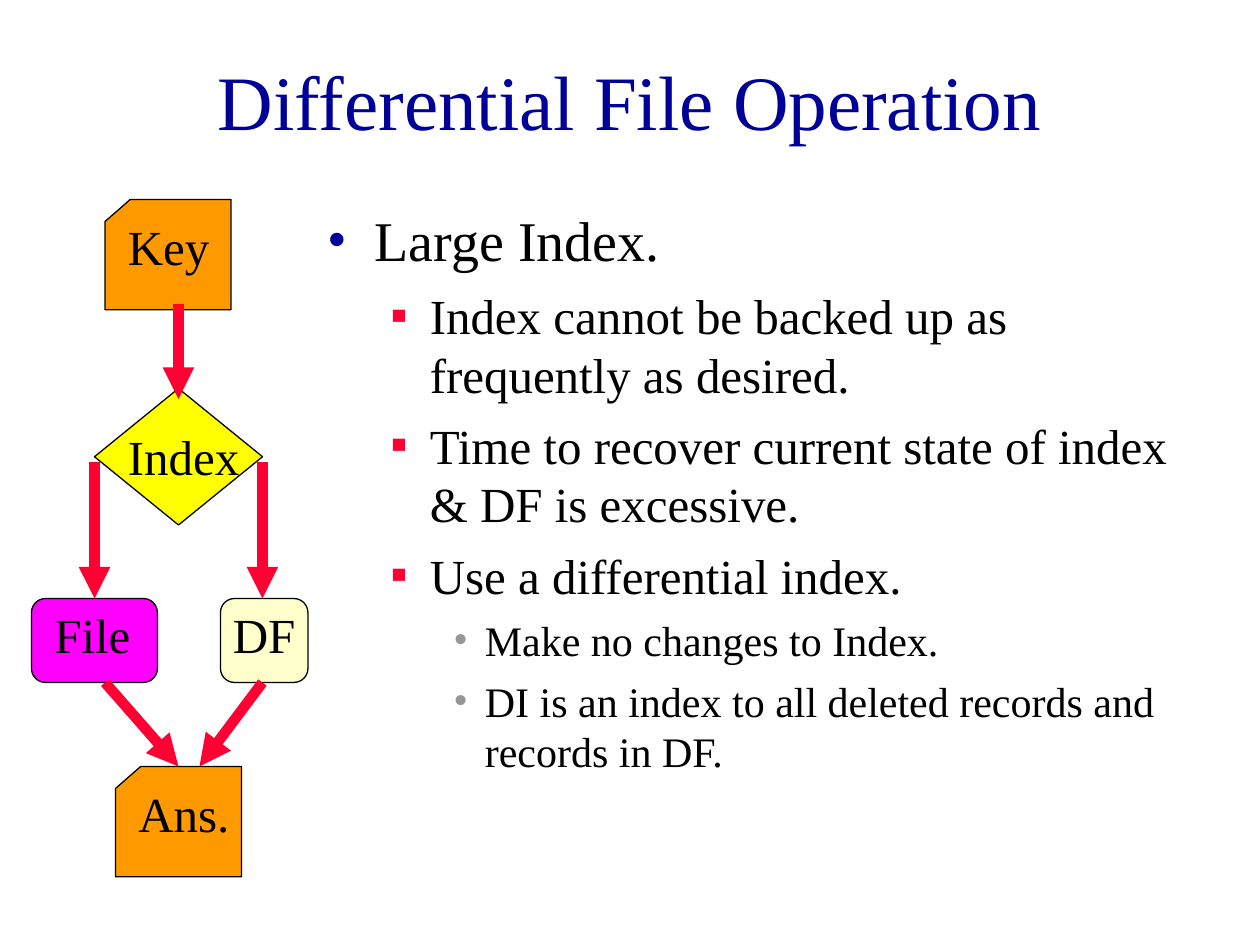
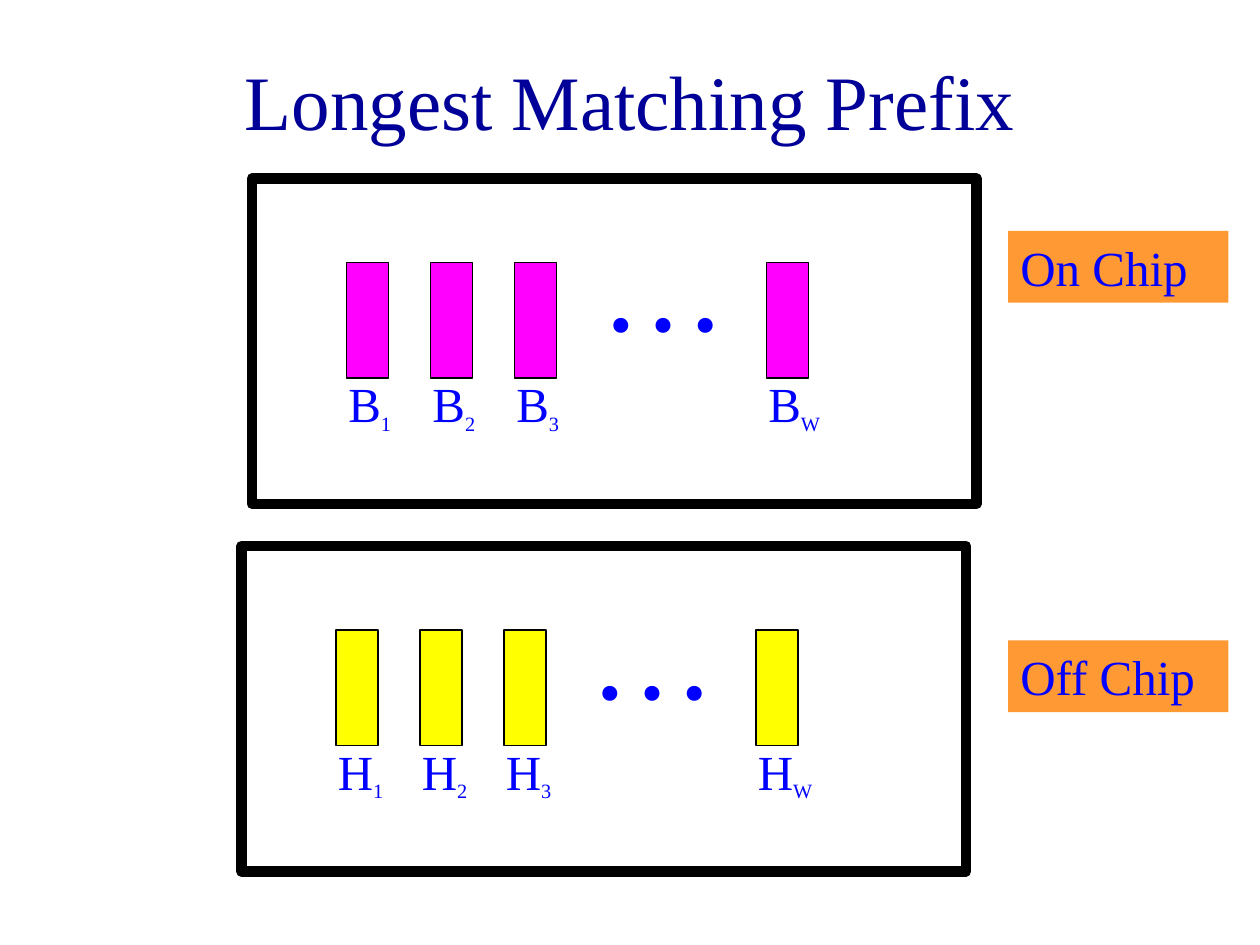
import pptx
import pptx.dml.color
import pptx.enum.shapes
import pptx.enum.text
import pptx.oxml.ns
import pptx.util
from lxml import etree

Pt = pptx.util.Pt
RGBColor = pptx.dml.color.RGBColor
SHAPES = pptx.enum.shapes.MSO_SHAPE
qn = pptx.oxml.ns.qn

NAVY = RGBColor(0x00, 0x00, 0x99)
BLUE = RGBColor(0x00, 0x00, 0xFF)
BLACK = RGBColor(0x00, 0x00, 0x00)
RED = RGBColor(0xFF, 0x00, 0x33)
GRAY = RGBColor(0x96, 0x96, 0x96)
ORANGE = RGBColor(0xFF, 0x99, 0x00)
LIGHT_ORANGE = RGBColor(0xFF, 0x99, 0x33)
YELLOW = RGBColor(0xFF, 0xFF, 0x00)
MAGENTA = RGBColor(0xFF, 0x00, 0xFF)
CREAM = RGBColor(0xFF, 0xFF, 0xCC)

FONT = "Times New Roman"
TITLE_FORMAT = {"name": FONT, "size": Pt(44)}
LABEL_FORMAT = {"name": FONT, "size": Pt(28)}
SUBSCRIPT_FORMAT = {"name": FONT, "size": Pt(20)}
DOTS_FORMAT = {"name": FONT, "size": Pt(72)}

# Per outline level: text size, left margin, hanging indent, space before, bullet, colour
LEVELS = [
    (32, 27, 27, 8, "•", NAVY),
    (28, 58.5, 22.5, 7, "▪", RED),
    (24, 90, 18, 6, "•", GRAY),
]

OUTLINE = [
    (0, "Large Index."),
    (1, "Index cannot be backed up as frequently as desired."),
    (1, "Time to recover current state of index & DF is excessive."),
    (1, "Use a differential index."),
    (2, "Make no changes to Index."),
    (2, "DI is an index to all deleted records and records in DF."),
]

# Shape, fill, box of the shape, label, box of the label
FLOW_STEPS = [
    (SHAPES.FLOWCHART_CARD, ORANGE, (60, 114, 72, 63), "Key", (66, 120, 72, 41)),
    (SHAPES.FLOWCHART_DECISION, YELLOW, (54, 222, 96, 78), "Index", (66, 240, 96, 41)),
    (SHAPES.FLOWCHART_ALTERNATE_PROCESS, MAGENTA, (18, 342, 72, 48), "File", (24, 342, 72, 41)),
    (SHAPES.FLOWCHART_CARD, ORANGE, (66, 438, 72, 63), "Ans.", (72, 444, 72, 41)),
    (SHAPES.FLOWCHART_ALTERNATE_PROCESS, CREAM, (126, 342, 50, 48), "DF", (126, 342, 62, 41)),
]

# Start x, start y, end x, end y
FLOW_ARROWS = [
    (102, 174, 102, 228),
    (54, 264, 54, 342),
    (60, 390, 102, 438),
    (150, 264, 150, 342),
    (150, 390, 114, 438),
]

BAR_PITCH = 48
BAR_SLOTS = {"1": 0, "2": 1, "3": 2, "W": 5}


def apply_format(target, values):
    for name, value in values.items():
        setattr(target, name, value)


def add_run(paragraph, text, font_format, color):
    run = paragraph.add_run()
    run.text = text
    apply_format(run.font, font_format)
    run.font.color.rgb = color
    return run


def add_text_box(slide, box):
    shape = slide.shapes.add_textbox(*map(Pt, box))
    shape.text_frame.word_wrap = True
    return shape


def add_label(slide, text, box, color, font_format=LABEL_FORMAT):
    shape = add_text_box(slide, box)
    add_run(shape.text_frame.paragraphs[0], text, font_format, color)
    return shape


def add_title(slide, text):
    shape = add_label(slide, text, (54, 12, 612, 90), NAVY, TITLE_FORMAT)
    shape.text_frame.vertical_anchor = pptx.enum.text.MSO_ANCHOR.MIDDLE
    shape.text_frame.paragraphs[0].alignment = pptx.enum.text.PP_ALIGN.CENTER


def add_outlined_shape(slide, kind, box, fill, line_width=0.75):
    """Add a black-lined shape; a fill of None leaves it see-through."""
    shape = slide.shapes.add_shape(kind, *map(Pt, box))
    shape.shadow.inherit = False
    if fill is None:
        shape.fill.background()
    else:
        shape.fill.solid()
        shape.fill.fore_color.rgb = fill
    shape.line.color.rgb = BLACK
    shape.line.width = Pt(line_width)


def add_arrow(slide, ends):
    connector = slide.shapes.add_connector(
        pptx.enum.shapes.MSO_CONNECTOR.STRAIGHT, *map(Pt, ends))
    connector.line.color.rgb = RED
    connector.line.width = Pt(6)
    line = connector.line._get_or_add_ln()
    etree.SubElement(line, qn("a:tailEnd"), type="triangle")
    etree.SubElement(connector._element.spPr, qn("a:effectLst"))


def add_bullet(paragraph, character, color, margin, hanging):
    properties = paragraph._p.get_or_add_pPr()
    properties.set("marL", str(Pt(margin)))
    properties.set("indent", str(-Pt(hanging)))
    bullet_color = etree.SubElement(properties, qn("a:buClr"))
    etree.SubElement(bullet_color, qn("a:srgbClr"), val=str(color))
    etree.SubElement(properties, qn("a:buFont"), typeface=FONT)
    etree.SubElement(properties, qn("a:buChar"), char=character)


def add_outline(slide, items, box):
    frame = add_text_box(slide, box).text_frame
    for index, (level, text) in enumerate(items):
        size, margin, hanging, space, character, color = LEVELS[level]
        paragraph = frame.add_paragraph() if index else frame.paragraphs[0]
        add_bullet(paragraph, character, color, margin, hanging)
        paragraph.level = level
        if index:
            paragraph.space_before = Pt(space)
        add_run(paragraph, text, {"name": FONT, "size": Pt(size)}, BLACK)


def add_memory(slide, left, top, letter, fill):
    """Add a frame holding a row of subscripted bars with an ellipsis."""
    for subscript, slot in BAR_SLOTS.items():
        bar_left, bar_top = left + 54 + slot * BAR_PITCH, top + 48
        add_outlined_shape(slide, SHAPES.RECTANGLE, (bar_left, bar_top, 24, 66), fill)
        label = add_label(slide, letter, (bar_left - 6, bar_top + 60, 72, 42), BLUE)
        run = add_run(label.text_frame.paragraphs[0], subscript, SUBSCRIPT_FORMAT, BLUE)
        run.font._element.set("baseline", "-25000")
    add_label(slide, "…", (left + 192, top + 12, 90, 94), BLUE, DOTS_FORMAT)
    add_outlined_shape(slide, SHAPES.RECTANGLE, (left, top, 414, 186), None, 6)


def add_chip_tag(slide, text, top):
    tag = add_label(slide, text, (576, top, 126, 41), BLUE)
    tag.fill.solid()
    tag.fill.fore_color.rgb = LIGHT_ORANGE


def add_titled_slide(presentation, title):
    slide = presentation.slides.add_slide(presentation.slide_layouts[6])
    add_title(slide, title)
    return slide


def build_differential_file(presentation):
    slide = add_titled_slide(presentation, "Differential File Operation")
    for kind, fill, box, label, label_box in FLOW_STEPS:
        add_outlined_shape(slide, kind, box, fill)
        add_label(slide, label, label_box, BLACK)
    for ends in FLOW_ARROWS:
        add_arrow(slide, ends)
    add_outline(slide, OUTLINE, (180, 114, 516, 408))


def build_longest_prefix(presentation):
    slide = add_titled_slide(presentation, "Longest Matching Prefix")
    add_memory(slide, 144, 102, "B", MAGENTA)
    add_chip_tag(slide, "On Chip", 132)
    add_memory(slide, 138, 312, "H", YELLOW)
    add_chip_tag(slide, "Off Chip", 366)


def main():
    presentation = pptx.Presentation()
    presentation.slide_width = Pt(720)
    presentation.slide_height = Pt(540)
    build_differential_file(presentation)
    build_longest_prefix(presentation)
    presentation.save("out.pptx")


if __name__ == "__main__":
    main()
